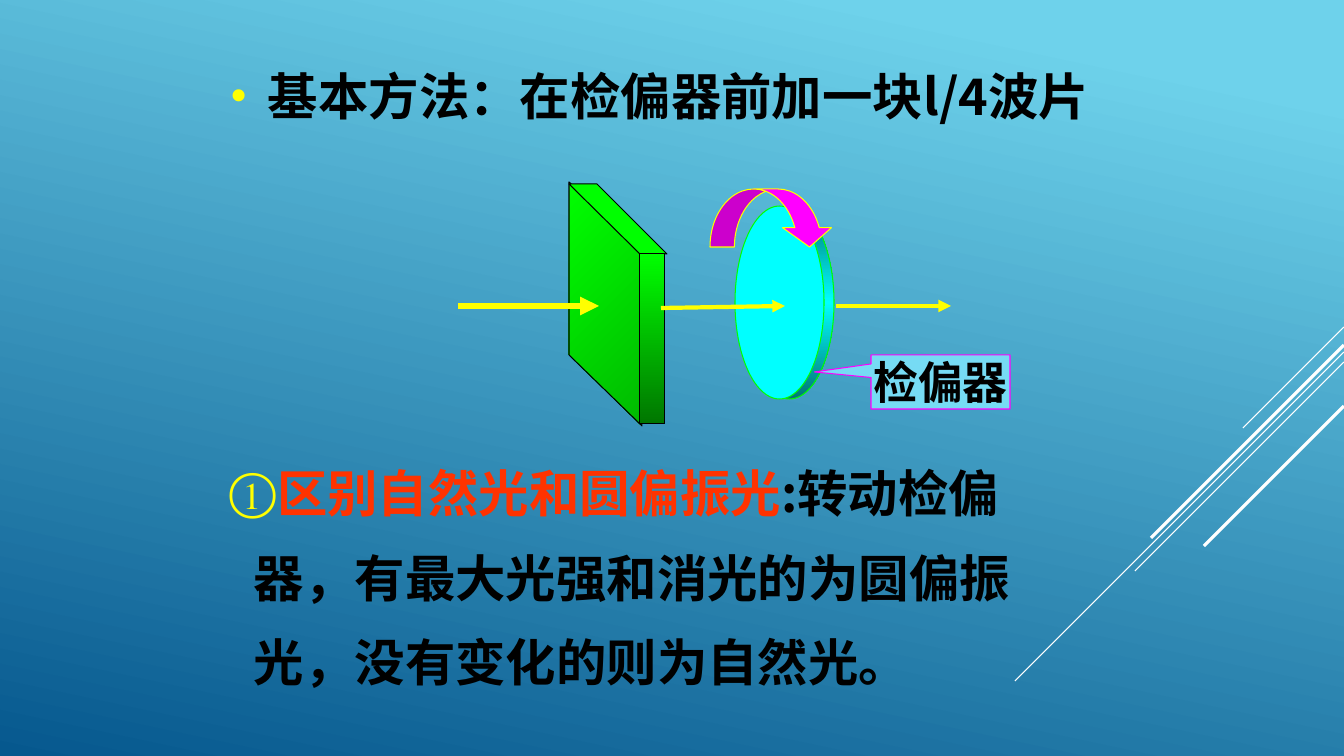
import copy
import pptx
import pptx.util
import pptx.dml.color
import pptx.enum.shapes
import pptx.enum.text
import pptx.oxml
import pptx.oxml.ns

SCALE = 914400 / 100.8
FONT = "Noto Sans CJK SC"
SERIF = "Times New Roman"
HEX = {
    "sky": "6ED2EB", "deep": "06588E", "white": "FFFFFF", "black": "000000",
    "yellow": "FFFF00", "red": "FF3300", "cyan": "00FFFF", "teal": "007676",
    "lime": "00FF00", "green": "00BA00", "dark": "007600", "pink": "FF00FF",
    "pale": "76DBF4",
}

# x, y of the start, run down-left, line width
STREAKS = [(1344, 327, 101, 0.75), (1344, 352, 329, 0.75), (1344, 362, 209, 0.75),
           (1344, 345, 193, 2.25), (1344, 406, 140, 2.25)]
# box, margin, bullet, runs
TITLE = ((220, 60, 957, 97), 38, "•", [("基本方法：在检偏器前加一块l/4波片", "black")])
BODY = ((220, 433, 889, 264), 24, "①",
        [("区别自然光和圆偏振光", "red"),
         (":转动检偏器，有最大光强和消光的为圆偏振光，没有变化的则为自然光。", "black")])
LABEL = "检偏器"
DISC = (735, 206, 89, 193)
RIM = 10
FRONT = [(569, 355), (642, 426), (642, 254), (569, 182)]
TOP = [(597, 184), (667, 254), (640, 254), (569, 184)]
SIDE = (640, 254, 25, 170)
# start, end, line width
RAYS = [((661, 308), (785, 306), 3), ((836, 306), (951, 306), 3),
        ((458, 306), (599, 306), 4.5)]

SHAPE = pptx.enum.shapes.MSO_SHAPE
ALIGN = pptx.enum.text.PP_ALIGN


def px(n):
    """Turn pixels into EMU."""
    return pptx.util.Emu(round(n * SCALE))


def rgb(name):
    """Look up a colour by name."""
    return pptx.dml.color.RGBColor.from_string(HEX[name])


def add(node, tag, **attrs):
    """Append a drawing element to node and return it."""
    part = pptx.oxml.parse_xml(f"<a:{tag} {pptx.oxml.ns.nsdecls('a')}/>")
    for key, value in attrs.items():
        part.set(key, value)
    node.append(part)
    return part


def blend(fill, node, stops, angle):
    """Give a gradient fill with (position, colour) stops, clockwise angle."""
    fill.gradient()
    marks = node.xpath(".//a:gsLst")[0]
    for _ in stops[2:]:
        marks.append(copy.deepcopy(marks[0]))
    for mark, (spot, name) in zip(fill.gradient_stops, stops):
        mark.position = spot
        mark.color.rgb = rgb(name)
    fill.gradient_angle = 360 - angle


def paint(shape, fill, edge, angle=90):
    """Fill with a colour name or a list of stops, and outline the shape."""
    shape.shadow.inherit = False
    if isinstance(fill, str):
        shape.fill.solid()
        shape.fill.fore_color.rgb = rgb(fill)
    else:
        blend(shape.fill, shape._element, fill, angle)
    shape.line.color.rgb = rgb(edge)
    shape.line.width = pptx.util.Pt(0.75)


def draw(kind, box, fill, edge, adj=()):
    """Add a painted preset shape."""
    shape = slide.shapes.add_shape(kind, *map(px, box))
    for i, value in enumerate(adj):
        shape.adjustments[i] = value
    paint(shape, fill, edge)
    return shape


def trace(points, fill, angle=90):
    """Add a closed face of the plate."""
    pen = slide.shapes.build_freeform(*points[0], scale=SCALE)
    pen.add_line_segments(points[1:], close=True)
    paint(pen.convert_to_shape(), fill, "black", angle)


def link(start, end, name, width, arrow=False):
    """Add a straight line, with an arrowhead if asked."""
    line = slide.shapes.add_connector(
        pptx.enum.shapes.MSO_CONNECTOR.STRAIGHT, *map(px, start + end))
    line.line.color.rgb = rgb(name)
    line.line.width = pptx.util.Pt(width)
    if arrow:
        add(line.line._get_or_add_ln(), "tailEnd", type="triangle")
    add(line._element.spPr, "effectLst")


def style(run, size, name, face):
    """Set a bold font on a run, for Latin and Chinese text."""
    font = run.font
    font.size, font.bold, font.name = pptx.util.Pt(size), True, face
    font.color.rgb = rgb(name)
    add(run._r.get_or_add_rPr(), "ea", typeface=FONT)


def write(box, margin, mark, runs):
    """Add a text box with one bulleted paragraph and return the paragraph."""
    frame = slide.shapes.add_textbox(*map(px, box)).text_frame
    frame.word_wrap = True
    para = frame.paragraphs[0]
    for text, name in runs:
        run = para.add_run()
        run.text = text
        style(run, 36, name, FONT)
    props = para._p.get_or_add_pPr()
    props.set("marL", str(px(margin)))
    props.set("indent", str(-px(margin)))
    props.set("hangingPunct", "0")
    add(add(props, "buClr"), "srgbClr", val=HEX["yellow"])
    add(props, "buFont", typeface=SERIF)
    add(props, "buChar", char=mark)
    return para


deck = pptx.Presentation()
deck.slide_width, deck.slide_height = px(1344), px(756)
slide = deck.slides.add_slide(deck.slide_layouts[6])
blend(slide.background.fill, slide._element, [(0.1, "sky"), (1, "deep")], 102)

for x, y, run, width in STREAKS:
    link((x, y), (x - run, y + run), "white", width)

head = write(*TITLE)
head.alignment = ALIGN.JUSTIFY
head.space_before = pptx.util.Pt(7)
write(*BODY).line_spacing = 1.4

left, top, wide, high = DISC
draw(SHAPE.OVAL, (left + RIM, top, wide, high),
     [(0, "teal"), (0.5, "cyan"), (1, "teal")], "lime")
draw(SHAPE.OVAL, DISC, "cyan", "lime")

note = draw(SHAPE.RECTANGULAR_CALLOUT, (871, 355, 139, 54), "pale", "pink",
            (-0.907, -0.186))
frame = note.text_frame
frame.text = LABEL
frame.word_wrap = False
frame.vertical_anchor = pptx.enum.text.MSO_ANCHOR.MIDDLE
frame.paragraphs[0].alignment = ALIGN.CENTER
style(frame.paragraphs[0].runs[0], 32, "black", SERIF)

trace(FRONT, [(0, "lime"), (1, "green")], 45)
trace(TOP, "lime")
draw(SHAPE.RECTANGLE, SIDE, [(0, "lime"), (1, "dark")], "black")

for start, end, width in RAYS:
    link(start, end, "yellow", width, arrow=True)
draw(SHAPE.CURVED_DOWN_ARROW, (710, 189, 124, 58), "pink", "yellow",
     (0.421, 0.843, 0.333))

deck.save("out.pptx")
